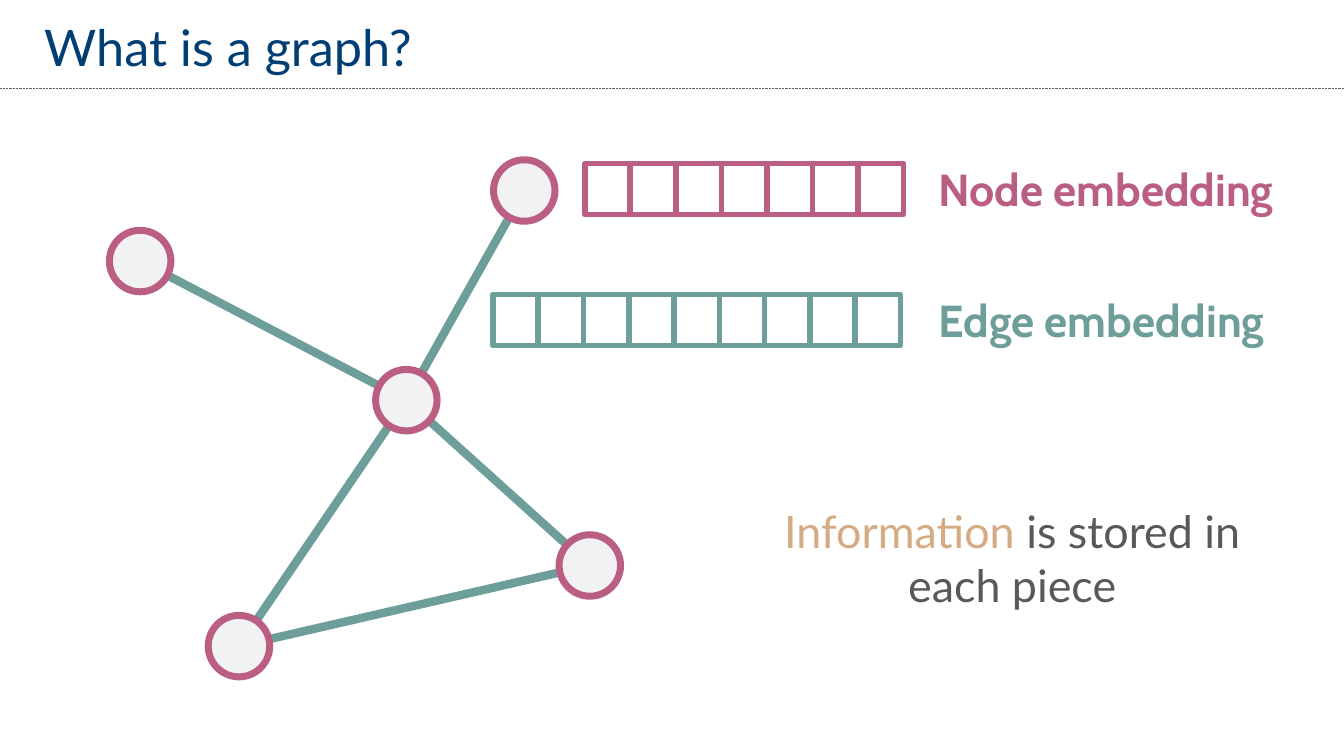
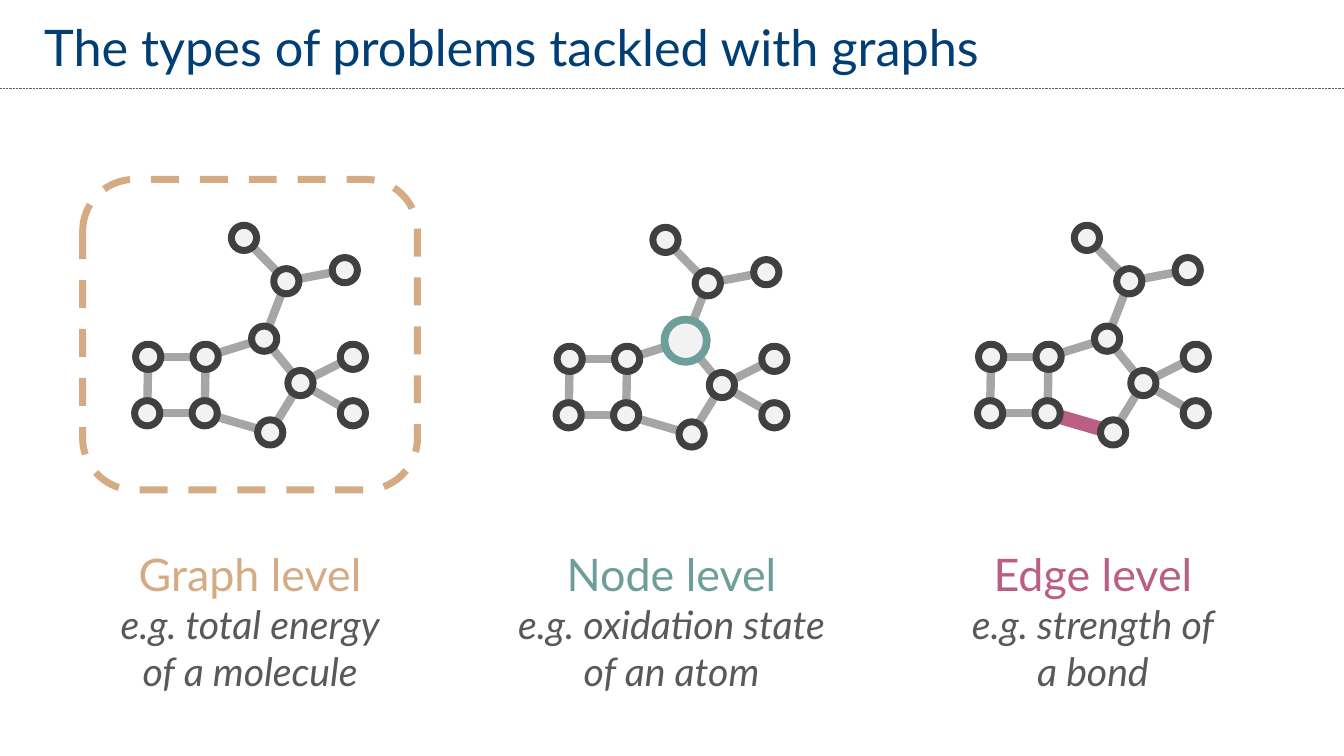
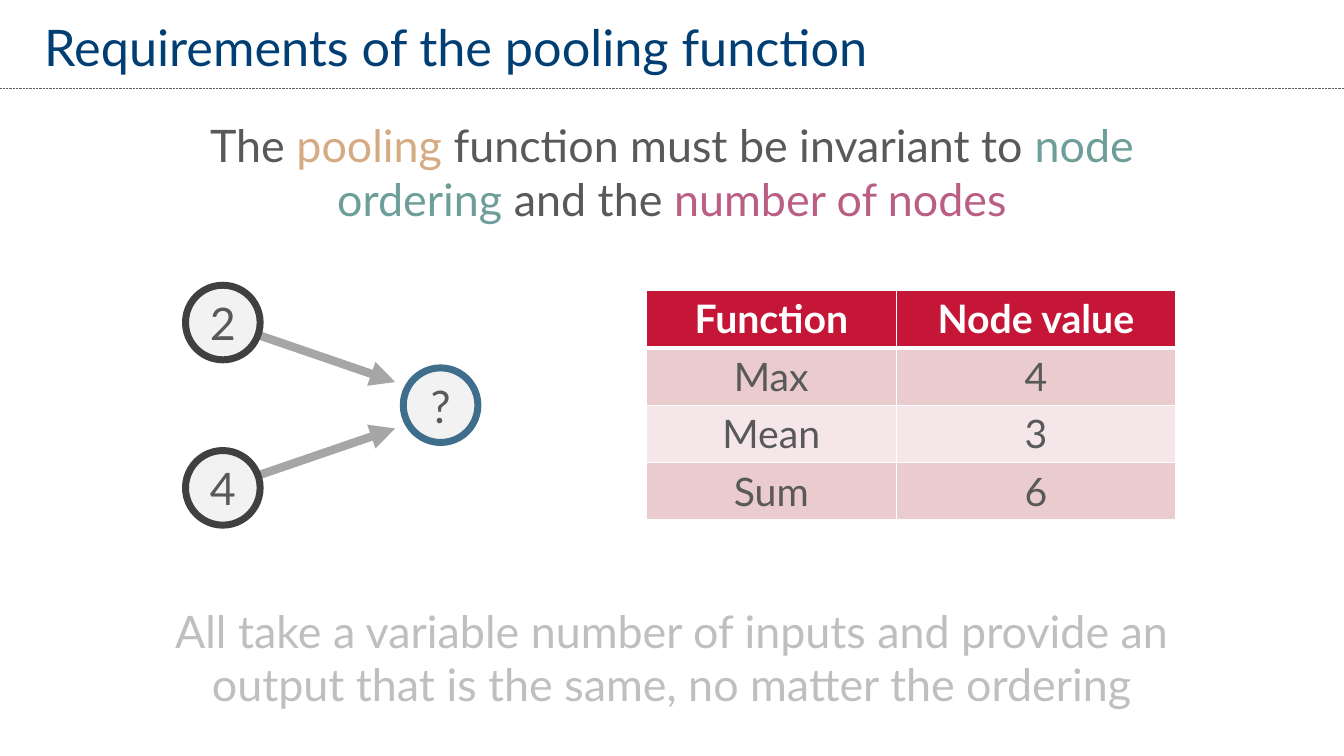
"""Build three slides that introduce graphs and pooling functions."""
import pptx
import pptx.dml.color
import pptx.enum.dml
import pptx.enum.shapes
import pptx.enum.text
import pptx.oxml.ns
import pptx.util
from lxml import etree

Inches = pptx.util.Inches
Pt = pptx.util.Pt
RGBColor = pptx.dml.color.RGBColor
Shape = pptx.enum.shapes.MSO_SHAPE
Dash = pptx.enum.dml.MSO_LINE
Anchor = pptx.enum.text.MSO_ANCHOR
Align = pptx.enum.text.PP_ALIGN
qn = pptx.oxml.ns.qn

NAVY = RGBColor(0x00, 0x3E, 0x74)
BLUE = RGBColor(0x3E, 0x6E, 0x8B)
ROSE = RGBColor(0xBA, 0x5F, 0x83)
TEAL = RGBColor(0x6D, 0x9E, 0x99)
SAND = RGBColor(0xD4, 0xAB, 0x83)
TEXT = RGBColor(0x59, 0x59, 0x59)
RULE = RGBColor(0x60, 0x60, 0x60)
DARK = RGBColor(0x40, 0x40, 0x40)
GREY = RGBColor(0xA6, 0xA6, 0xA6)
FAINT = RGBColor(0xBF, 0xBF, 0xBF)
PALE = RGBColor(0xF2, 0xF2, 0xF2)
WHITE = RGBColor(0xFF, 0xFF, 0xFF)
CRIMSON = RGBColor(0xC5, 0x16, 0x38)
PINK = RGBColor(0xEA, 0xCC, 0xCE)
BLUSH = RGBColor(0xF5, 0xE7, 0xE9)

TITLE = {"name": "Lato", "size": Pt(36)}
BODY = {"name": "Lato", "size": Pt(32)}
EXAMPLE = {"name": "Lato", "size": Pt(28), "italic": True}
LABEL = {"name": "Cabin", "size": Pt(32), "bold": True}
CELL = {"name": "Lato", "size": Pt(28), "bold": False}
HEADER = {"name": "Lato", "size": Pt(28), "bold": True}

PAGE_WIDTH, PAGE_HEIGHT = 13.33, 7.5
NO_MARGIN = dict.fromkeys(("margin_left", "margin_top", "margin_right", "margin_bottom"), 0)

ATOMS = {
    "square top left": (0.65, 1.76),
    "square top right": (1.22, 1.76),
    "square bottom left": (0.64, 2.32),
    "square bottom right": (1.21, 2.32),
    "ring top": (1.8, 1.58),
    "ring bottom": (1.86, 2.51),
    "ring right": (2.16, 2.02),
    "upper leaf": (2.68, 1.76),
    "lower leaf": (2.68, 2.32),
    "branch": (2.02, 1.01),
    "branch right": (2.6, 0.9),
    "branch left": (1.6, 0.58),
}
BONDS = [
    ("square bottom right", "square bottom left"),
    ("square top right", "square bottom right"),
    ("square top left", "square bottom left"),
    ("square top right", "square top left"),
    ("ring top", "square top right"),
    ("ring bottom", "square bottom right"),
    ("ring right", "ring bottom"),
    ("ring top", "ring right"),
    ("branch", "ring top"),
    ("branch left", "branch"),
    ("ring right", "lower leaf"),
    ("ring right", "upper leaf"),
    ("branch right", "branch"),
]


def set_all(target, values):
    """Set every attribute named in a dict of format values."""
    for name, value in values.items():
        setattr(target, name, value)


def write_spans(para, spans, align=Align.CENTER):
    """Fill a paragraph with (text, color, format) spans; a newline breaks the line."""
    para.alignment = align
    for text, color, style in spans:
        for number, part in enumerate(text.split("\n")):
            if number:
                para.add_line_break()
            span = para.add_run()
            span.text = part
            set_all(span.font, style)
            span.font.color.rgb = color


def add_text(shapes, box, paras, align=Align.CENTER, **frame_values):
    """Add a text box holding one list of spans per paragraph."""
    frame = shapes.add_textbox(*map(Inches, box)).text_frame
    set_all(frame, {"word_wrap": True, **frame_values})
    for number, spans in enumerate(paras):
        para = frame.add_paragraph() if number else frame.paragraphs[0]
        write_spans(para, spans, align)


def add_line(shapes, start, end, color, width, dash=None, arrow=False):
    """Add a straight line, with an arrowhead at its end if asked."""
    kind = pptx.enum.shapes.MSO_CONNECTOR.STRAIGHT
    line = shapes.add_connector(kind, *map(Inches, (*start, *end)))
    line.line.color.rgb = color
    set_all(line.line, {"width": Pt(width), "dash_style": dash})
    properties = line._element.spPr
    if arrow:
        etree.SubElement(properties.find(qn("a:ln")), qn("a:tailEnd"), type="triangle")
    etree.SubElement(properties, qn("a:effectLst"))


def add_outline(shapes, kind, box, color, width, fill=None, dash=None):
    """Add an outlined shape with a plain fill or none."""
    shape = shapes.add_shape(kind, *map(Inches, box))
    shape.shadow.inherit = False
    if fill is None:
        shape.fill.background()
    else:
        shape.fill.solid()
        shape.fill.fore_color.rgb = fill
    shape.line.color.rgb = color
    set_all(shape.line, {"width": Pt(width), "dash_style": dash})
    return shape


def add_node(shapes, center, size, color, width=5, text=None):
    """Add a round node about its center, with an optional value inside."""
    x, y = center
    box = (x - size / 2, y - size / 2, size, size)
    node = add_outline(shapes, Shape.OVAL, box, color, width, PALE)
    if text:
        frame = node.text_frame
        set_all(frame, {"vertical_anchor": Anchor.MIDDLE, **NO_MARGIN})
        write_spans(frame.paragraphs[0], [(text, TEXT, BODY)])


def add_page(deck, title):
    """Add a blank page with the shared title and dotted rule."""
    page = deck.slides.add_slide(deck.slide_layouts[6])
    add_line(page.shapes, (0, 0.88), (PAGE_WIDTH, 0.88), RULE, 0.5, Dash.ROUND_DOT)
    add_text(page.shapes, (0.34, 0.21, 12.72, 0.49), [[(title, NAVY, TITLE)]],
             Align.LEFT, vertical_anchor=Anchor.MIDDLE)
    return page


def add_embedding(page, box, cells, color, label):
    """Add a strip of equal cells and its label."""
    left, top, width, height = box
    strip = page.shapes.add_group_shape().shapes
    add_outline(strip, Shape.RECTANGLE, box, color, 4, WHITE)
    for number in range(1, cells):
        x = left + width * number / cells
        add_line(strip, (x, top), (x, top + height), color, 4)
    add_text(page.shapes, (9.21, top - 0.06, 3.52, 0.64), [[(label, color, LABEL)]],
             Align.LEFT, word_wrap=False)


def add_network(page, left, top):
    """Add the large graph of five nodes."""
    offsets = {"west": (0.31, 1.01), "north": (4.12, 0.31), "hub": (2.95, 2.39),
               "south": (1.29, 4.83), "east": (4.77, 4.03)}
    nodes = {name: (left + x, top + y) for name, (x, y) in offsets.items()}
    edges = [("west", "hub"), ("north", "hub"), ("east", "hub"),
             ("hub", "south"), ("east", "south")]
    for start, end in edges:
        add_line(page.shapes, nodes[start], nodes[end], TEAL, 6)
    for center in nodes.values():
        add_node(page.shapes, center, 0.61, ROSE)


def add_molecule(page, left, top, marked_atom=None, marked_bond=None, framed=False):
    """Add the small molecule graph with one part of it marked."""
    shapes = page.shapes.add_group_shape().shapes
    centers = {name: (left + x, top + y) for name, (x, y) in ATOMS.items()}
    for bond in BONDS:
        color, width = (ROSE, 10.25) if bond == marked_bond else (GREY, 6)
        add_line(shapes, *(centers[name] for name in bond), color, width)
    for name, center in centers.items():
        size, color, width = (0.42, TEAL, 5.5) if name == marked_atom else (0.25, DARK, 5)
        add_node(shapes, center, size, color, width)
    if framed:
        add_outline(shapes, Shape.ROUNDED_RECTANGLE, (left, top, 3.32, 3.08),
                    SAND, 5, dash=Dash.DASH)


def add_pooling_graph(page, left, top):
    """Add two valued nodes whose arrows point to an unknown one."""
    shapes = page.shapes.add_group_shape().shapes
    size, middle = 0.74, top + 1.19
    for value, side in (("4", 1), ("2", -1)):
        center = (left + size / 2, middle + side * 0.82)
        add_line(shapes, (left + 0.39, middle + side * 0.81),
                 (left + 2.08, middle + side * 0.23), GREY, 6, arrow=True)
        add_node(shapes, center, size, DARK, text=value)
    add_node(shapes, (left + 2.53, middle), size, BLUE, text="?")


def add_borders(cell, widths):
    """Give a cell white borders, with widths for left, right, top and bottom."""
    properties = cell._tc.get_or_add_tcPr()
    for number, (side, width) in enumerate(zip("LRTB", widths)):
        border = etree.Element(qn(f"a:ln{side}"), w=str(Pt(width)))
        fill = etree.SubElement(border, qn("a:solidFill"))
        etree.SubElement(fill, qn("a:srgbClr"), val=str(WHITE))
        properties.insert(number, border)


def add_function_table(page, left, top):
    """Add the table of pooling functions and their results."""
    rows = [("Function", "Node value"), ("Max", "4"), ("Mean", "3"), ("Sum", "6")]
    widths, row_height = (2.48, 2.77), 0.57
    box = (left, top, sum(widths), row_height * len(rows))
    table = page.shapes.add_table(len(rows), len(widths), *map(Inches, box)).table
    for column, width in zip(table.columns, widths):
        column.width = Inches(width)
    for r, values in enumerate(rows):
        fill = (BLUSH, PINK)[r % 2] if r else CRIMSON
        color, style = (TEXT, CELL) if r else (WHITE, HEADER)
        for c, value in enumerate(values):
            cell = table.cell(r, c)
            cell.fill.solid()
            cell.fill.fore_color.rgb = fill
            add_borders(cell, (1, 1, 3 if r == 1 else 1, 1 if r else 3))
            write_spans(cell.text_frame.paragraphs[0], [(value, color, style)])


def build_graph_page(deck):
    """Build the page that says what a graph is."""
    page = add_page(deck, "What is a graph?")
    add_embedding(page, (4.89, 2.92, 4.04, 0.51), 9, TEAL, "Edge embedding")
    add_embedding(page, (5.8, 1.62, 3.16, 0.51), 7, ROSE, "Node embedding")
    add_text(page.shapes, (7.48, 4.95, 5.12, 1.18),
             [[("Information", SAND, BODY), (" is stored in each piece", TEXT, BODY)]])
    add_network(page, 1.08, 1.58)


def build_problem_page(deck):
    """Build the page of three problem levels."""
    page = add_page(deck, "The types of problems tackled with graphs")
    levels = [
        ("Graph level", "e.g. total energy\nof a molecule", SAND, 1.78, {"framed": True}),
        ("Node level", "e.g. oxidation state of an atom", TEAL, 1.8,
         {"marked_atom": "ring top"}),
        ("Edge level", "e.g. strength of\na bond", ROSE, 1.78,
         {"marked_bond": ("ring bottom", "square bottom right")}),
    ]
    for number, (level, example, color, top, marks) in enumerate(levels):
        left = 0.82 + 4.18 * number
        add_molecule(page, left, top, **marks)
        add_text(page.shapes, (left, 5.37, 3.32, 1.58),
                 [[(level, color, BODY)], [(example, TEXT, EXAMPLE)]])


def build_pooling_page(deck):
    """Build the page on pooling functions."""
    page = add_page(deck, "Requirements of the pooling function")
    rule = [("The ", TEXT), ("pooling", SAND), (" function must be invariant to ", TEXT),
            ("node ordering ", TEAL), ("and the ", TEXT), ("number of nodes", ROSE)]
    remark = [("All take a variable number of inputs and provide an output "
               "that is the same, no matter the ordering", FAINT)]
    for top, parts in ((1.33, rule), (6.15, remark)):
        add_text(page.shapes, (1.17, top, 10.99, 0.74),
                 [[(text, color, BODY) for text, color in parts]],
                 vertical_anchor=Anchor.MIDDLE)
    add_pooling_graph(page, 1.84, 2.83)
    add_function_table(page, 6.41, 2.88)


def main():
    """Build and save the deck."""
    deck = pptx.Presentation()
    set_all(deck, {"slide_width": Inches(PAGE_WIDTH), "slide_height": Inches(PAGE_HEIGHT)})
    for build in (build_graph_page, build_problem_page, build_pooling_page):
        build(deck)
    deck.save("out.pptx")


if __name__ == "__main__":
    main()
